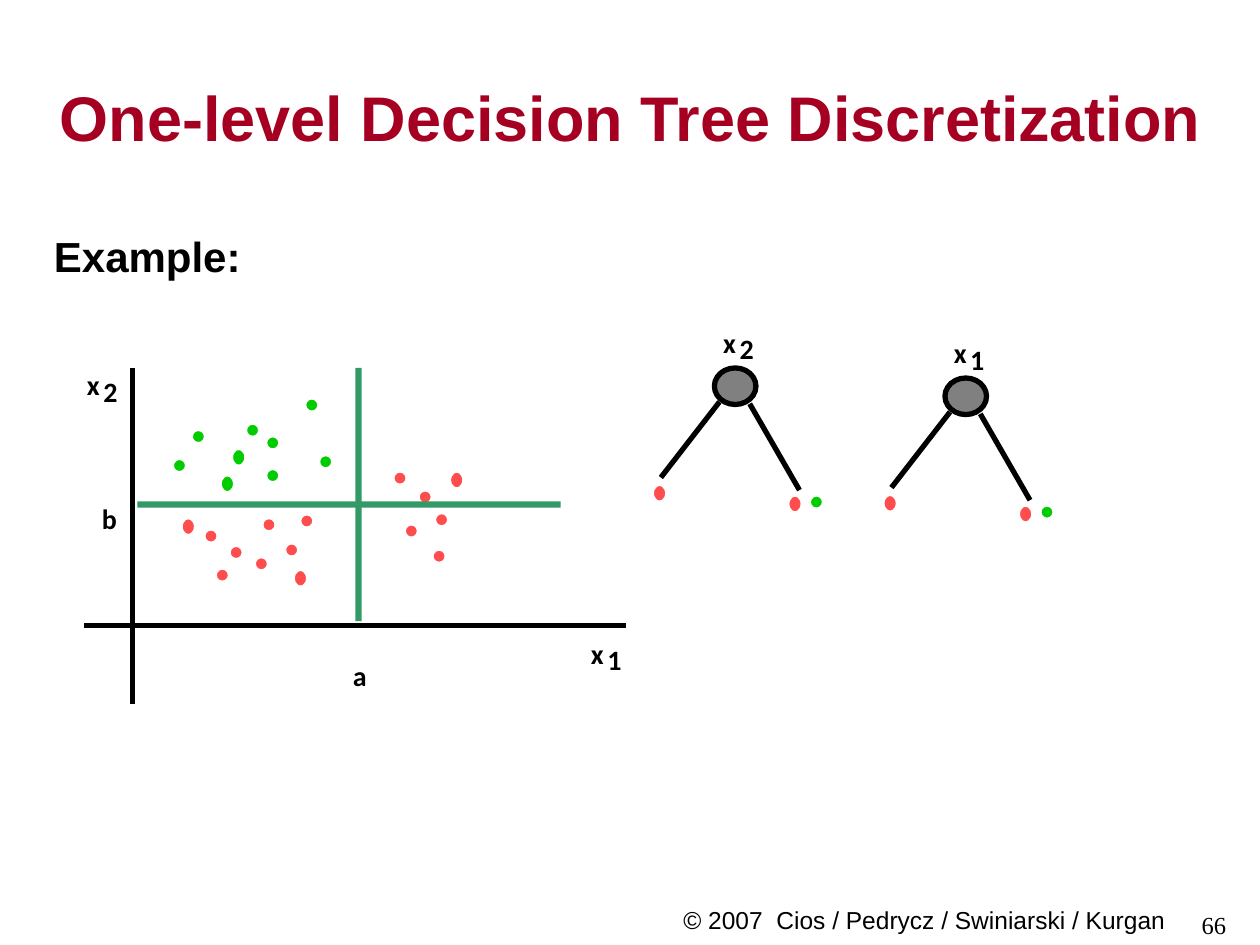
from dataclasses import dataclass

from lxml.etree import SubElement
from pptx import Presentation
from pptx.dml.color import RGBColor
from pptx.enum.shapes import MSO_CONNECTOR as Connector, MSO_SHAPE as Preset
from pptx.enum.text import MSO_ANCHOR as Anchor, PP_ALIGN as Align
from pptx.oxml.ns import qn
from pptx.util import Inches, Pt

COLORS = {"title": "A50021", "ink": "000000", "red": "FF4C4C", "green": "00CC00",
          "split": "339966", "node": "808080", "paper": "FFFFFF"}

# The page is a grid of 100 columns by 75 rows
COLUMNS, ROWS = 100, 75
DOT, TALL_DOT = 1.3, 1.6

deck = Presentation()
deck.slide_width, deck.slide_height = Inches(10), Inches(7.5)
page = deck.slides.add_slide(deck.slide_layouts[6])


@dataclass
class Dot:
    column: float
    row: float
    color: str
    height: float = DOT


@dataclass
class Tree:
    column: float
    row: float
    index: str


def across(columns: float) -> int:
    return round(deck.slide_width * columns / COLUMNS)


def down(rows: float) -> int:
    return round(deck.slide_height * rows / ROWS)


def color(name: str) -> RGBColor:
    return RGBColor.from_string(COLORS[name])


def add_text(text: str, column: float, row: float, width: float, height: float,
             size: float, font: str = "Arial", bold: bool = False, ink: str = "ink",
             align: Align = Align.LEFT, anchor: Anchor = Anchor.TOP,
             is_label: bool = False) -> None:
    box = page.shapes.add_textbox(across(column), down(row), across(width), down(height))
    frame = box.text_frame
    frame.text = text
    frame.word_wrap = not is_label
    frame.vertical_anchor = anchor
    if is_label:
        frame.margin_left = frame.margin_right = frame.margin_top = frame.margin_bottom = 0
    para = frame.paragraphs[0]
    para.alignment = align
    for span in para.runs:
        span.font.name, span.font.size, span.font.bold = font, Pt(size), bold
        span.font.color.rgb = color(ink)


def add_label(text: str, column: float, row: float) -> None:
    add_text(text, column, row, 1.3, 2.7, 16, "Calibri", True, is_label=True)


def add_variable(index: str, column: float, row: float) -> None:
    """An x with its lowered index."""
    add_label("x", column, row)
    add_label(index, column + 1.3, row + 0.5)


def add_filled(preset: Preset, column: float, row: float, width: float, height: float,
               fill: str, outline: str = "") -> None:
    shape = page.shapes.add_shape(preset, across(column), down(row), across(width), down(height))
    shape.shadow.inherit = False
    shape.fill.solid()
    shape.fill.fore_color.rgb = color(fill)
    if outline:
        shape.line.color.rgb = color(outline)
        shape.line.width = Pt(3)
    else:
        shape.line.fill.background()


def add_dot(dot: Dot) -> None:
    add_filled(Preset.OVAL, dot.column, dot.row, DOT, dot.height, dot.color, "paper")


def add_line(column: float, row: float, to_column: float, to_row: float) -> None:
    line = page.shapes.add_connector(Connector.STRAIGHT, across(column), down(row),
                                     across(to_column), down(to_row))
    line.line.color.rgb = color("ink")
    line.line.width = Pt(3)
    SubElement(line._element.spPr, qn("a:effectLst"))


def add_tree(tree: Tree) -> None:
    """A root node with a pure left leaf and a mixed right leaf."""
    column, row = tree.column, tree.row
    add_filled(Preset.OVAL, column, row, 3.3, 2.9, "node", "ink")
    add_line(column + 2.8, row + 2.85, column + 6.75, row + 9.7)
    add_line(column + 0.4, row + 2.7, column - 4.25, row + 8.7)
    add_dot(Dot(column + 7.45, row + 10, "green"))
    add_dot(Dot(column - 5, row + 9.15, "red", TALL_DOT))
    add_dot(Dot(column + 5.75, row + 10, "red", TALL_DOT))
    add_variable(tree.index, column + 0.7, row - 3.35)


# Heading and footer
add_text("One-level Decision Tree Discretization", 1.7, 4.2, 96.7, 10, 36, bold=True,
         ink="title", align=Align.CENTER, anchor=Anchor.MIDDLE)
add_text("Example:", 3.3, 17.8, 90, 5, 24, bold=True)
add_text("© 2007  Cios / Pedrycz / Swiniarski / Kurgan", 35, 71.3, 58.5, 3.2, 14,
         align=Align.RIGHT)
add_text("66", 75, 71.7, 23.3, 3.2, 14, "Times New Roman", align=Align.RIGHT)

# Axes of the scatter and their labels
add_line(10.5, 55.9, 10.5, 29.2)
add_line(6.7, 49.65, 49.7, 49.65)
add_label("a", 28, 52.3)
add_label("b", 8.1, 39.8)
add_variable("1", 46.9, 50.5)
add_variable("2", 6.9, 29.2)

# Points of the two classes
RED_POINTS = [(31.1, 37.3), (32, 41.5), (33.1, 38.8), (34.2, 43.5), (18.1, 43.2),
              (22.5, 43), (20.7, 41), (20.1, 44.1), (34.4, 40.6), (23.7, 40.7),
              (17, 45), (16.1, 41.9)]
TALL_RED_POINTS = [(35.6, 37.3), (23.2, 45.1), (14.3, 41)]
GREEN_POINTS = [(15.1, 34), (19.4, 33.5), (21, 37.1), (25.2, 36), (24.1, 31.5),
                (13.6, 36.3), (21, 34.5)]
TALL_GREEN_POINTS = [(18.3, 35.5), (17.4, 37.6)]
for points, name, dot_height in [(RED_POINTS, "red", DOT),
                                 (TALL_RED_POINTS, "red", TALL_DOT),
                                 (GREEN_POINTS, "green", DOT),
                                 (TALL_GREEN_POINTS, "green", TALL_DOT)]:
    for left, top in points:
        add_dot(Dot(left, top, name, dot_height))

# Split lines at b and a
add_filled(Preset.RECTANGLE, 10.9, 39.8, 33.6, 0.5, "split")
add_filled(Preset.RECTANGLE, 28.2, 29.2, 0.5, 20.1, "split")

# One-level trees, one for each variable
for one_level_tree in [Tree(75, 30, "1"), Tree(56.7, 29.2, "2")]:
    add_tree(one_level_tree)

deck.save("out.pptx")
